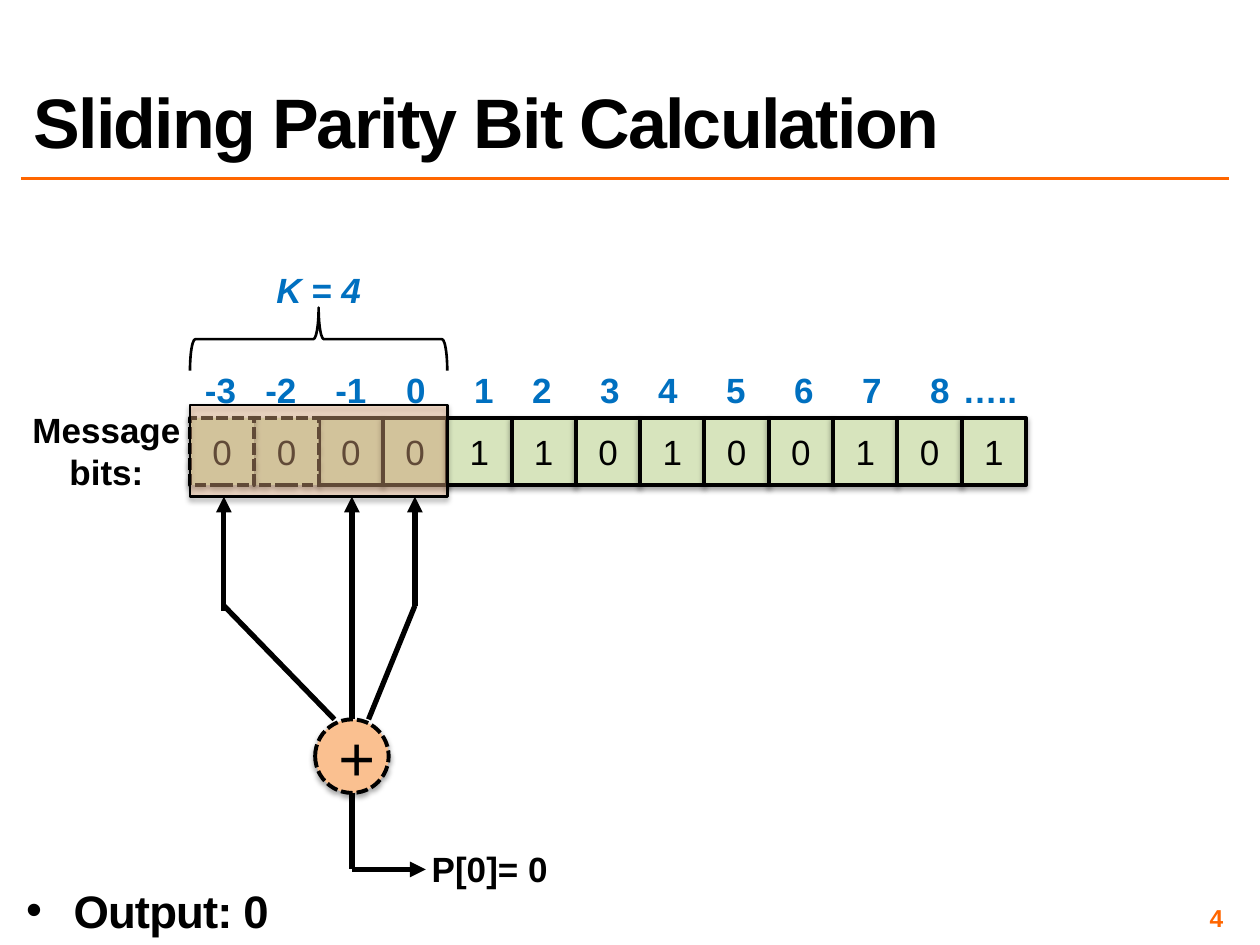
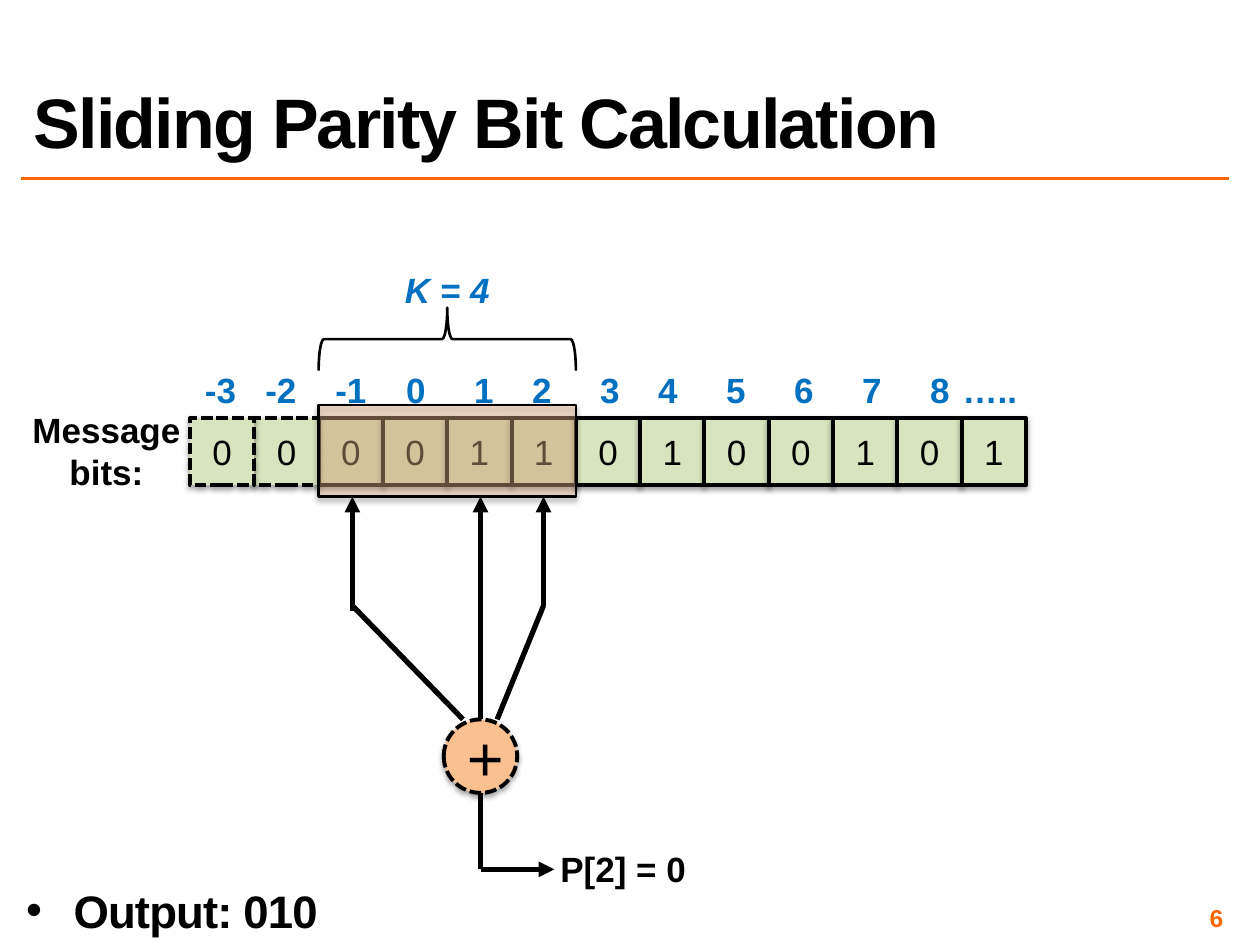
from dataclasses import dataclass

from lxml import etree
from pptx import Presentation
from pptx import util as u
from pptx.dml.color import RGBColor
from pptx.enum import dml, shapes, text
from pptx.oxml.ns import qn


@dataclass(frozen=True)
class Theme:
    font: str = "Arial"
    ink: str = "000000"
    accent: str = "FF6600"
    index: str = "0070C0"
    cell: str = "D7E4BD"
    window: str = "FAC090"
    title_size: float = 40
    output_size: float = 26
    label_size: float = 20
    number_size: float = 14
    plus_size: float = 36


THEME = Theme()
BITS = "0000110100101"
PADDING = 2
WINDOW_BITS = 4
CELL_WIDTH = 36.75
ROW_BOX = (108.6, 239, CELL_WIDTH * len(BITS), 38.2)
INDEX_LABELS = ["-3", "-2", "-1", *map(str, range(9)), "….."]
INDEX_CENTRES = [43.4, 83.4, 120.5, 159.4, 192.5, 231.4,
                 264.5, 303.4, 342.3, 381.1, 420]
DOTS_LEFT = 433


def points(*lengths):
    return [u.Pt(length) for length in lengths]


def rgb(code):
    return RGBColor.from_string(code)


def add_xml(parent, tag, **attributes):
    return etree.SubElement(parent, qn("a:" + tag), attributes)


def style(para, size, color=THEME.ink, bold=True, italic=False,
          align=text.PP_ALIGN.LEFT, tracking=0):
    para.alignment = align
    font = para.font
    font.name, font.size = THEME.font, u.Pt(size)
    font.bold, font.italic = bold, italic
    font.color.rgb = rgb(color)
    if tracking:
        para._p.get_or_add_pPr().get_or_add_defRPr().set("spc", str(tracking))


def set_frame(frame, anchor, inset=None):
    frame.word_wrap = True
    frame.auto_size = text.MSO_AUTO_SIZE.NONE
    frame.vertical_anchor = anchor
    if inset is not None:
        frame.margin_left = frame.margin_right = u.Pt(inset)
        frame.margin_top = frame.margin_bottom = u.Pt(inset)


def add_label(page, box, lines, size=THEME.label_size,
              anchor=text.MSO_ANCHOR.TOP, inset=None, **look):
    frame = page.shapes.add_textbox(*points(*box)).text_frame
    set_frame(frame, anchor, inset)
    frame.text = lines
    for para in frame.paragraphs:
        style(para, size, **look)


def add_block(page, kind, box, fill, weight, dashed=False, alpha=None):
    block = page.shapes.add_shape(kind, *points(*box))
    block.fill.solid()
    block.fill.fore_color.rgb = rgb(fill)
    if alpha:
        color = block.element.spPr.find(qn("a:solidFill"))[0]
        add_xml(color, "alpha", val=str(alpha * 1000))
    block.line.color.rgb = rgb(THEME.ink)
    block.line.width = u.Pt(weight)
    if dashed:
        block.line.dash_style = dml.MSO_LINE.SQUARE_DOT
    block.shadow.inherit = False
    effects = block.element.spPr.find(qn("a:effectLst"))
    shadow = add_xml(effects, "outerShdw", blurRad=str(u.Pt(3.1)),
                     dist=str(u.Pt(1.8)), dir="5400000", rotWithShape="0")
    add_xml(add_xml(shadow, "srgbClr", val=THEME.ink), "alpha", val="35000")
    return block


def write_symbol(block, symbol, size):
    frame = block.text_frame
    set_frame(frame, text.MSO_ANCHOR.MIDDLE)
    frame.text = symbol
    style(frame.paragraphs[0], size, bold=False, align=text.PP_ALIGN.CENTER)


def add_line(page, start, end, color=THEME.ink, weight=3, arrow=False):
    line = page.shapes.add_connector(shapes.MSO_CONNECTOR.STRAIGHT,
                                     *points(*start, *end))
    line.line.color.rgb = rgb(color)
    line.line.width = u.Pt(weight)
    if arrow:
        add_xml(line.line._get_or_add_ln(), "headEnd", type="triangle")
    add_xml(line.element.spPr, "effectLst")
    return line


def fill_placeholder(holder, box, words):
    holder.left, holder.top, holder.width, holder.height = points(*box)
    holder.text_frame.text = words
    para = holder.text_frame.paragraphs[0]
    para.line_spacing = 0.8
    para.space_before = u.Pt(0)
    return para


def add_title(page, box):
    title = page.shapes.title
    para = fill_placeholder(title, box, "Sliding Parity Bit Calculation")
    set_frame(title.text_frame, text.MSO_ANCHOR.BOTTOM)
    style(para, THEME.title_size, tracking=-100)
    left, top, width, height = box
    rule = top + height + 6
    add_line(page, (left, rule), (left + width, rule), THEME.accent, 2)


def add_output(page, box, bits):
    body = page.placeholders[1]
    para = fill_placeholder(body, box, f"Output: {bits}")
    set_frame(body.text_frame, text.MSO_ANCHOR.TOP, 3)
    properties = para._p.get_or_add_pPr()
    properties.set("marL", str(u.Pt(27)))
    properties.set("indent", str(u.Pt(-27)))
    add_xml(properties, "buChar", char="•")
    style(para, THEME.output_size, tracking=-50)


def add_message(page, box):
    left, top, width, height = box
    step = width / len(BITS)
    for place in [*range(PADDING, len(BITS)), *reversed(range(PADDING))]:
        cell = add_block(page, shapes.MSO_SHAPE.RECTANGLE,
                         (left + place * step, top, step, height),
                         THEME.cell, 2.25, dashed=place < PADDING)
        write_symbol(cell, BITS[place], THEME.label_size)
    add_label(page, (left - 102.6, top - 9.3, 109.7, 55.4),
              "Message\nbits:", align=text.PP_ALIGN.CENTER)
    add_indices(page, (left + 1.4, top - 31.7, width + 2, 31.7))


def add_indices(page, box):
    frame = page.shapes.add_textbox(*points(*box)).text_frame
    set_frame(frame, text.MSO_ANCHOR.TOP)
    frame.text = "\t".join(INDEX_LABELS)
    para = frame.paragraphs[0]
    tabs = add_xml(para._p.get_or_add_pPr(), "tabLst")
    for centre in INDEX_CENTRES:
        add_xml(tabs, "tab", pos=str(u.Pt(centre)), algn="ctr")
    add_xml(tabs, "tab", pos=str(u.Pt(DOTS_LEFT)), algn="l")
    style(para, THEME.label_size, THEME.index)


def add_window(page, box):
    left, top, width, height = box
    depth = 36
    middle, brace_middle = left + width / 2, top - 37.7
    brace = page.shapes.add_shape(
        shapes.MSO_SHAPE.RIGHT_BRACE,
        *points(middle - depth / 2, brace_middle - width / 2, depth, width))
    brace.rotation = 270
    brace.fill.background()
    brace.line.color.rgb = rgb(THEME.ink)
    brace.line.width = u.Pt(1.5)
    brace.shadow.inherit = False
    add_label(page, (left, top - 81.7, width, 31.7), f"K = {WINDOW_BITS}",
              color=THEME.index, italic=True, align=text.PP_ALIGN.CENTER)
    add_block(page, shapes.MSO_SHAPE.RECTANGLE, box, THEME.window, 1.5,
              alpha=39)


def add_adder(page, box, result):
    left, top, width, height = box
    first, middle, last = left + 19.3, left + 92.5, left + 128.5
    bend, hub_top, hub_size = top + 62.3, top + 127.3, 42
    hub_bottom, floor = hub_top + hub_size, top + height
    add_line(page, (first, top), (first, bend + 3), arrow=True)
    add_line(page, (first, bend), (middle - 10, hub_top))
    add_line(page, (middle, top), (middle, hub_top), arrow=True)
    add_line(page, (last, top), (last, bend), arrow=True)
    add_line(page, (last, bend), (middle + 9.5, hub_top))
    hub = add_block(page, shapes.MSO_SHAPE.OVAL,
                    (middle - hub_size / 2, hub_top, hub_size, hub_size),
                    THEME.window, 2.25, dashed=True)
    write_symbol(hub, "+", THEME.plus_size)
    add_line(page, (middle, hub_bottom), (middle, floor))
    add_line(page, (left + width, floor), (middle, floor), arrow=True)
    add_label(page, (left + 131, floor - 15.8, 126, 31.7), result)


def add_parity_slide(deck, number, shift, result, output):
    page = deck.slides.add_slide(deck.slide_layouts[1])
    add_title(page, (12, 12, 690, 84))
    add_label(page, (534, 516, 168, 17), str(number), THEME.number_size,
              text.MSO_ANCHOR.MIDDLE, 3, color=THEME.accent,
              align=text.PP_ALIGN.RIGHT)
    add_message(page, ROW_BOX)
    left = ROW_BOX[0] + shift * CELL_WIDTH
    add_window(page, (left, 231.5, WINDOW_BITS * CELL_WIDTH, 52.3))
    add_adder(page, (left, 283.8, 134.7, 213), result)
    add_output(page, (12, 507.5, 609, 31), output)


def main():
    deck = Presentation()
    deck.slide_width, deck.slide_height = points(720, 540)
    add_parity_slide(deck, 4, 0, "P[0]= 0", "0")
    add_parity_slide(deck, 6, 2, "P[2] = 0", "010")
    deck.save("out.pptx")


if __name__ == "__main__":
    main()
